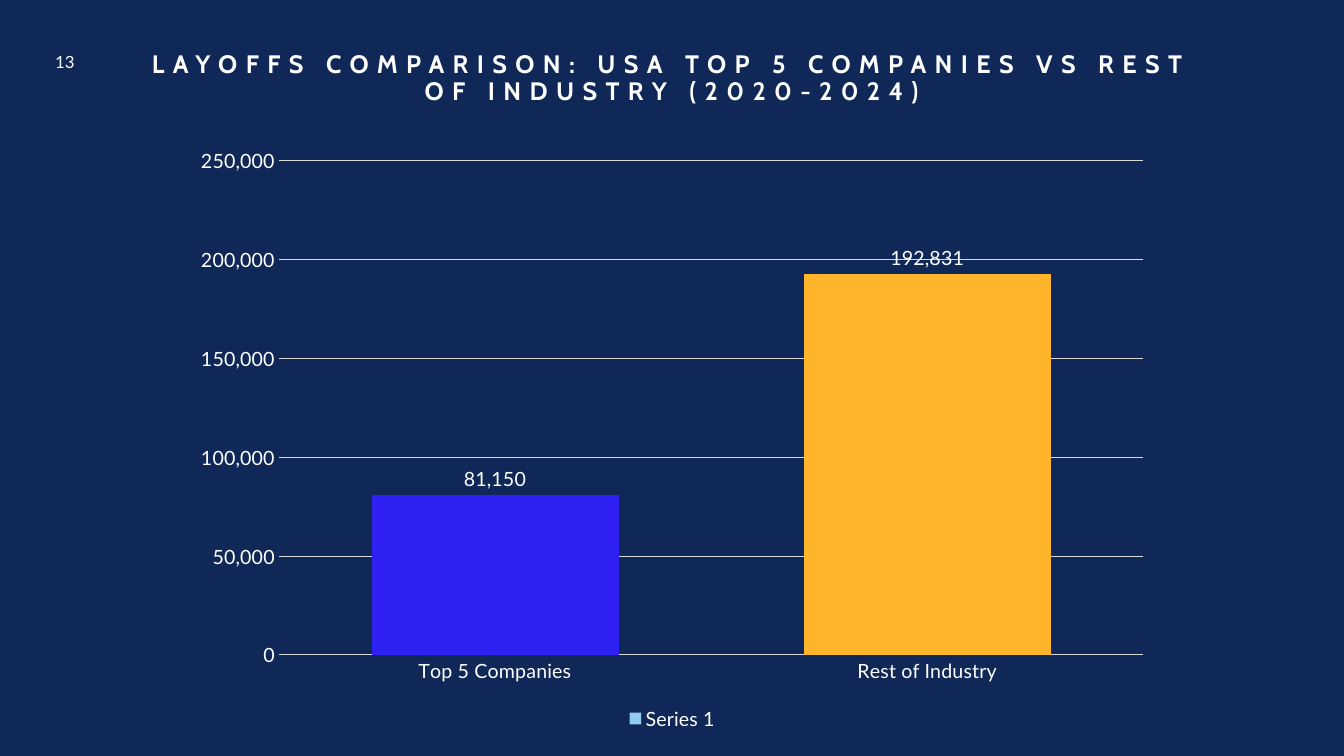
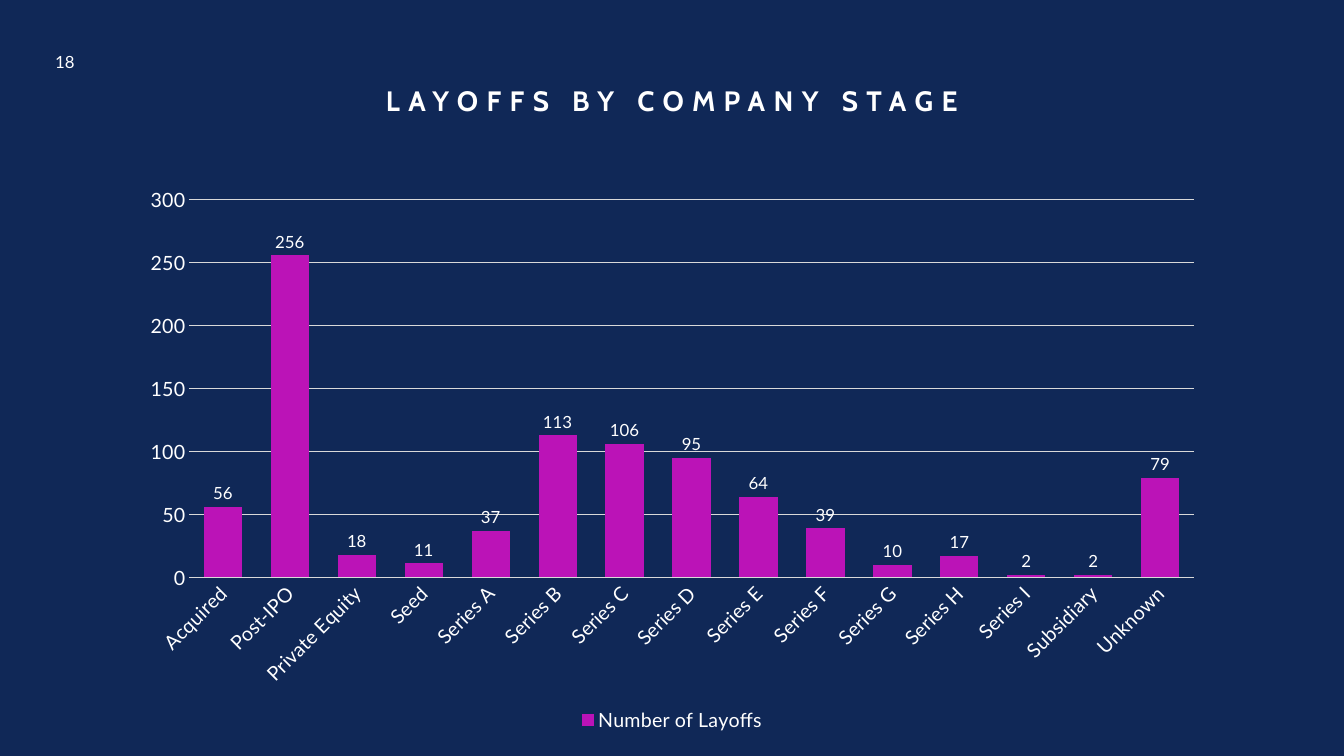
from dataclasses import dataclass

from pptx import Presentation
from pptx.chart.data import CategoryChartData
from pptx.dml.color import RGBColor
from pptx.dml.fill import FillFormat
from pptx.enum.chart import XL_CHART_TYPE as ChartType
from pptx.enum.chart import XL_LABEL_POSITION as LabelPosition
from pptx.enum.chart import XL_LEGEND_POSITION as LegendPosition
from pptx.enum.chart import XL_TICK_MARK as TickMark
from pptx.enum.text import MSO_ANCHOR as Anchor
from pptx.enum.text import MSO_AUTO_SIZE as AutoSize
from pptx.enum.text import PP_ALIGN as Align
from pptx.presentation import Presentation as PresentationType
from pptx.shapes.base import BaseShape
from pptx.slide import Slide
from pptx.text.text import Font
from pptx.util import Cm, Pt


@dataclass(frozen=True)
class Theme:
    background: str = "102857"
    text: str = "FFFFFF"
    rule: str = "D9D9D9"
    blue: str = "2F21F3"
    amber: str = "FEB52B"
    sky: str = "92CDF0"
    magenta: str = "BB13B7"
    heading_font: str = "Cabin"
    body_font: str = "Lato"
    title_size: float = 20
    long_title_size: float = 18
    axis_size: float = 14
    small_size: float = 12
    title_spacing: float = 6
    rule_width: float = 0.75


THEME = Theme()


@dataclass(frozen=True)
class Box:
    left: float
    top: float
    width: float
    height: float

    def lengths(self) -> tuple[Cm, Cm, Cm, Cm]:
        return Cm(self.left), Cm(self.top), Cm(self.width), Cm(self.height)


@dataclass(frozen=True)
class ColumnChart:
    box: Box
    series_name: str
    values: dict[str, int]
    color: str
    point_colors: tuple[str, ...] = ()
    number_format: str = "General"
    label_size: float = THEME.axis_size
    category_angle: int = 0


@dataclass(frozen=True)
class ChartSlide:
    number: int
    title: str
    title_top: float
    title_size: float
    chart: ColumnChart


NUMBER_BOX = Box(0.91, 1.14, 1.45, 0.86)

SLIDES = (
    ChartSlide(
        13,
        "LAYOFFS COMPARISON: USA TOP 5 COMPANIES VS REST OF INDUSTRY (2020-2024)",
        0.51,
        THEME.long_title_size,
        ColumnChart(
            Box(4.57, 3.45, 24.74, 15.06),
            "Series 1",
            {"Top 5 Companies": 81150, "Rest of Industry": 192831},
            THEME.sky,
            point_colors=(THEME.blue, THEME.amber),
            number_format="#,##0",
        ),
    ),
    ChartSlide(
        18,
        "LAYOFFS BY COMPANY STAGE",
        1.09,
        THEME.title_size,
        ColumnChart(
            Box(3.25, 4.45, 27.38, 14.1),
            "Number of Layoffs",
            {
                "Acquired": 56, "Post-IPO": 256, "Private Equity": 18, "Seed": 11,
                "Series A": 37, "Series B": 113, "Series C": 106, "Series D": 95,
                "Series E": 64, "Series F": 39, "Series G": 10, "Series H": 17,
                "Series I": 2, "Subsidiary": 2, "Unknown": 79,
            },
            THEME.magenta,
            label_size=THEME.small_size,
            category_angle=-45,
        ),
    ),
)


def paint(fill: FillFormat, color: str) -> None:
    fill.solid()
    fill.fore_color.rgb = RGBColor.from_string(color)


def style_font(font: Font, size: float, name: str = THEME.body_font, bold: bool = False) -> None:
    font.name = name
    font.size = Pt(size)
    font.bold = bold
    font.color.rgb = RGBColor.from_string(THEME.text)


def write_text(
    shape: BaseShape,
    text: str,
    *,
    size: float,
    font: str = THEME.body_font,
    bold: bool = False,
    line_spacing: float = 1.0,
    letter_spacing: float = 0,
) -> None:
    frame = shape.text_frame
    frame.word_wrap = True
    frame.auto_size = AutoSize.NONE
    frame.vertical_anchor = Anchor.MIDDLE
    paragraph = frame.paragraphs[0]
    paragraph.alignment = Align.CENTER
    paragraph.line_spacing = line_spacing
    run = paragraph.add_run()
    run.text = text
    style_font(run.font, size, font, bold)
    if letter_spacing:
        run._r.get_or_add_rPr().set("spc", str(int(letter_spacing * 100)))


def add_title(slide: Slide, content: ChartSlide) -> None:
    title = slide.shapes.title
    box = Box(3.05, content.title_top, 27.76, 2.97)
    title.left, title.top, title.width, title.height = box.lengths()
    write_text(
        title,
        content.title,
        size=content.title_size,
        font=THEME.heading_font,
        bold=True,
        line_spacing=0.9,
        letter_spacing=THEME.title_spacing,
    )


def add_column_chart(slide: Slide, content: ColumnChart) -> None:
    data = CategoryChartData(number_format=content.number_format)
    data.categories = list(content.values)
    data.add_series(content.series_name, list(content.values.values()))
    frame = slide.shapes.add_chart(ChartType.COLUMN_CLUSTERED, *content.box.lengths(), data)
    chart = frame.chart
    style_font(chart.font, THEME.axis_size)
    chart.has_title = False
    chart.has_legend = True
    chart.legend.position = LegendPosition.BOTTOM
    chart.legend.include_in_layout = False
    style_font(chart.legend.font, THEME.axis_size)

    category_axis, value_axis = chart.category_axis, chart.value_axis
    for axis in (category_axis, value_axis):
        axis.major_tick_mark = axis.minor_tick_mark = TickMark.NONE
        style_font(axis.tick_labels.font, THEME.axis_size)
    if content.category_angle:
        text_properties = category_axis._element.get_or_add_txPr()
        text_properties.bodyPr.set("rot", str(content.category_angle * 60000))
    value_axis.has_major_gridlines = True
    value_axis.format.line.fill.background()
    value_axis.tick_labels.number_format = content.number_format
    value_axis.tick_labels.number_format_is_linked = False
    for line in (category_axis.format.line, value_axis.major_gridlines.format.line):
        paint(line.fill, THEME.rule)
        line.width = Pt(THEME.rule_width)

    plot = chart.plots[0]
    plot.gap_width = 75
    plot.vary_by_categories = False
    series = plot.series[0]
    paint(series.format.fill, content.color)
    for index, color in enumerate(content.point_colors):
        paint(series.points[index].format.fill, color)
    labels = series.data_labels
    labels.show_value = True
    labels.position = LabelPosition.OUTSIDE_END
    labels.number_format = content.number_format
    labels.number_format_is_linked = False
    style_font(labels.font, content.label_size)


def add_chart_slide(presentation: PresentationType, content: ChartSlide) -> None:
    slide = presentation.slides.add_slide(presentation.slide_layouts.get_by_name("Title Only"))
    add_title(slide, content)
    number = slide.shapes.add_textbox(*NUMBER_BOX.lengths())
    write_text(number, str(content.number), size=THEME.small_size)
    add_column_chart(slide, content.chart)


def main() -> None:
    """Build the layoff chart slides and save the presentation."""
    presentation = Presentation()
    presentation.slide_width, presentation.slide_height = Cm(33.87), Cm(19.05)
    paint(presentation.slide_master.background.fill, THEME.background)
    for content in SLIDES:
        add_chart_slide(presentation, content)
    presentation.save("out.pptx")


if __name__ == "__main__":
    main()
